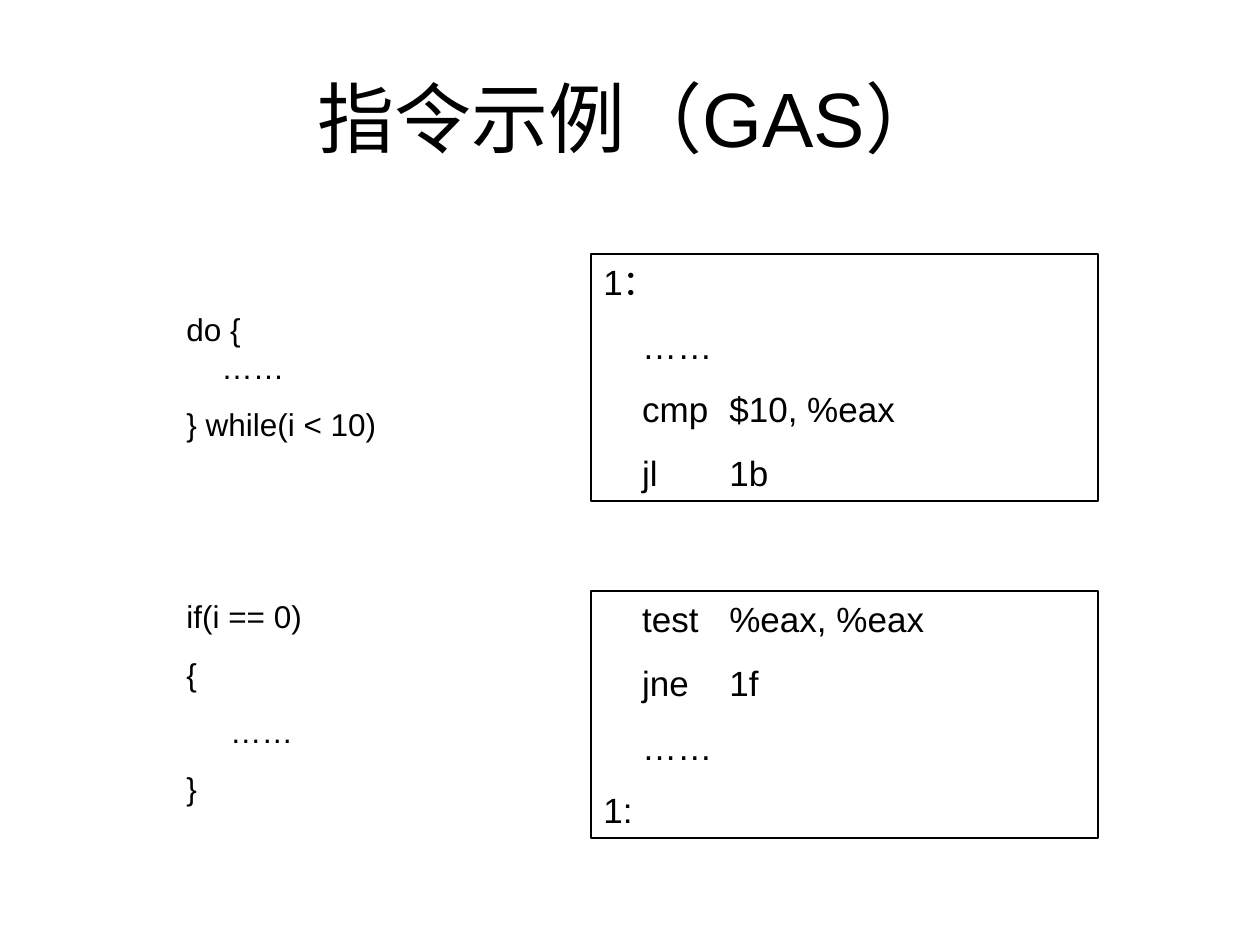
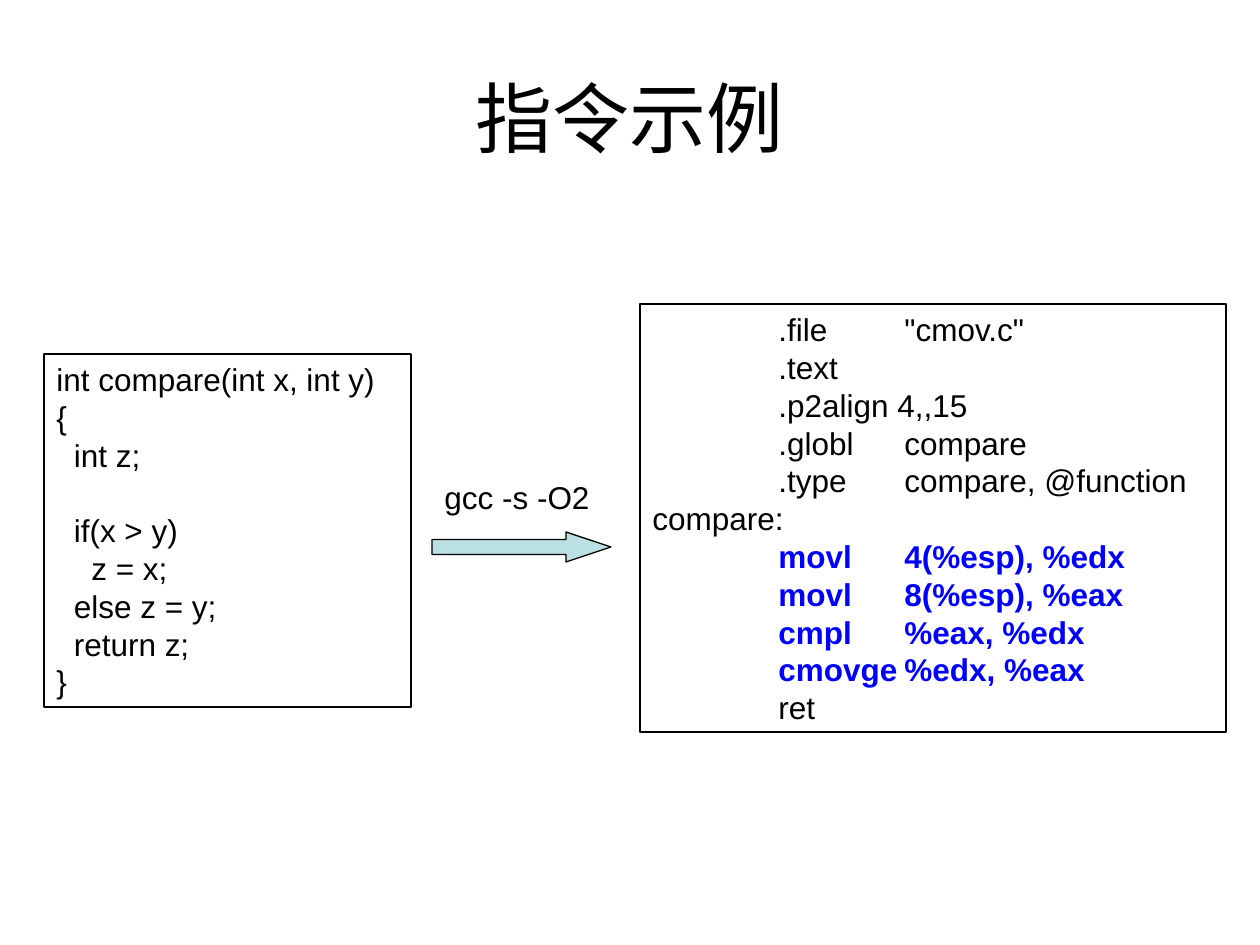
from dataclasses import dataclass

from lxml import etree
from pptx import Presentation
from pptx import util as u
from pptx.dml.color import RGBColor
from pptx.enum import shapes, text
from pptx.oxml.ns import qn

EMU_PER_PX = 914400 / 126
TAB_STEP = 126


@dataclass(frozen=True)
class Theme:
    font: str = "Arial"
    ink: RGBColor = RGBColor(0x00, 0x00, 0x00)
    highlight: RGBColor = RGBColor(0x00, 0x00, 0xFF)
    arrow: RGBColor = RGBColor(0xBB, 0xE0, 0xE3)
    title_size: int = 44
    large_size: int = 20
    code_size: int = 18
    line_width: float = 0.75
    blank_line: float = 21.5


theme = Theme()


def px(*lengths):
    return [u.Emu(round(length * EMU_PER_PX)) for length in lengths]


def add_code(slide, box, lines, size, gap=0, framed=False, highlighted=()):
    """Add a code block; an empty line becomes space before the next one."""
    shape = slide.shapes.add_textbox(*px(*box))
    if framed:
        shape.line.color.rgb = theme.ink
        shape.line.width = u.Pt(theme.line_width)
    frame = shape.text_frame
    frame.word_wrap = True
    frame.auto_size = text.MSO_AUTO_SIZE.SHAPE_TO_FIT_TEXT
    paragraph = None
    space_before = 0
    for line in lines:
        if not line:
            space_before += theme.blank_line
            continue
        paragraph = frame.add_paragraph() if paragraph else frame.paragraphs[0]
        paragraph.text = line
        paragraph.alignment = text.PP_ALIGN.LEFT
        paragraph.space_before = u.Pt(space_before)
        space_before = gap
        if "\t" in line:
            tabs = etree.SubElement(paragraph._p.get_or_add_pPr(), qn("a:tabLst"))
            for stop in range(1, 8):
                position = px(stop * TAB_STEP)[0]
                etree.SubElement(tabs, qn("a:tab"), pos=str(position), algn="l")
        emphasized = line.split()[0] in highlighted
        for run in paragraph.runs:
            run.font.name = theme.font
            run.font.size = u.Pt(size)
            run.font.bold = emphasized
            run.font.color.rgb = theme.highlight if emphasized else theme.ink


presentation = Presentation()
presentation.slide_width, presentation.slide_height = px(1260, 945)

# Slides with their shared title style
slides = []
for title in ("指令示例（GAS）", "指令示例"):
    slide = presentation.slides.add_slide(presentation.slide_layouts[5])
    shape = slide.shapes.title
    shape.left, shape.top, shape.width, shape.height = px(63, 38, 1134, 158)
    frame = shape.text_frame
    frame.text = title
    frame.auto_size = text.MSO_AUTO_SIZE.NONE
    frame.vertical_anchor = text.MSO_ANCHOR.MIDDLE
    paragraph = frame.paragraphs[0]
    paragraph.alignment = text.PP_ALIGN.CENTER
    font = paragraph.runs[0].font
    font.name = theme.font
    font.size = u.Pt(theme.title_size)
    font.color.rgb = theme.ink
    slides.append(slide)
syntax_slide, compare_slide = slides

# Slide 1: assembly in frames on the right
loop_assembly = ["1：", "    ……", "    cmp\t$10, %eax", "    jl\t1b"]
branch_assembly = ["    test\t%eax, %eax", "    jne\t1f", "    ……", "1:"]
for top, lines in ((254, loop_assembly), (591, branch_assembly)):
    add_code(syntax_slide, (591, top, 507, 247), lines, theme.large_size,
             gap=12.5, framed=True)

# Slide 1: matching C code on the left
loop_source = ["do {\v    ……", "} while(i < 10)"]
branch_source = ["if(i == 0)", "{", "     ……", "}"]
for box, lines in (((174, 304, 338, 146), loop_source),
                   ((174, 591, 328, 223), branch_source)):
    add_code(syntax_slide, box, lines, theme.code_size, gap=11.2)

# Slide 2: compiler output
compare_assembly = [
    '\t.file\t"cmov.c"',
    "\t.text",
    "\t.p2align 4,,15",
    "\t.globl\tcompare",
    "\t.type\tcompare, @function",
    "compare:",
    "\tmovl\t4(%esp), %edx",
    "\tmovl\t8(%esp), %eax",
    "\tcmpl\t%eax, %edx",
    "\tcmovge\t%edx, %eax",
    "\tret",
]
add_code(compare_slide, (640, 304, 586, 428), compare_assembly, theme.code_size,
         framed=True, highlighted=("movl", "cmpl", "cmovge"))

# Slide 2: C function
compare_source = [
    "int compare(int x, int y)",
    "{",
    "  int z;",
    "",
    "  if(x > y)",
    "    z = x;",
    "  else z = y;",
    "  return z;",
    "}",
]
add_code(compare_slide, (44, 354, 367, 353), compare_source, theme.code_size,
         framed=True)

# Slide 2: compile command and arrow
add_code(compare_slide, (432, 472, 189, 50), ["gcc -s -O2"], theme.code_size)
arrow = compare_slide.shapes.add_shape(shapes.MSO_SHAPE.RIGHT_ARROW,
                                       *px(432, 532, 179, 30))
arrow.adjustments[0] = 0.5
arrow.adjustments[1] = 1.5
arrow.shadow.inherit = False
arrow.fill.solid()
arrow.fill.fore_color.rgb = theme.arrow
arrow.line.color.rgb = theme.ink
arrow.line.width = u.Pt(theme.line_width)

presentation.save("out.pptx")
